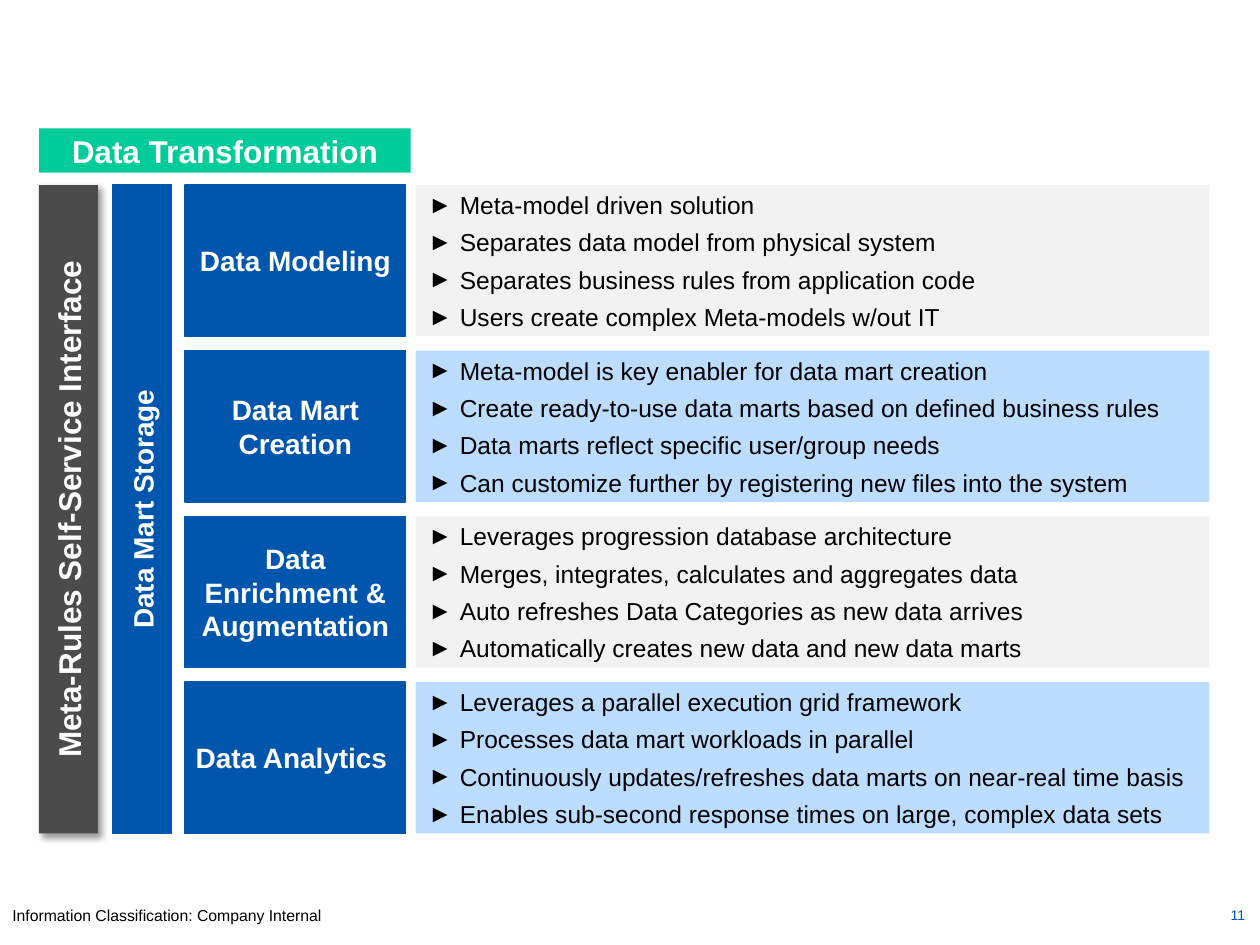
"""Build the Data Transformation overview slide."""
from lxml.etree import SubElement
from pptx import Presentation
from pptx.dml.color import RGBColor
from pptx.enum.shapes import MSO_SHAPE as Shape
from pptx.enum.text import MSO_ANCHOR as Anchor, MSO_AUTO_SIZE as AutoSize, PP_ALIGN as Align
from pptx.oxml.ns import qn
from pptx.util import Cm, Pt

COLORS = {
    "blue": "0055AD", "green": "00CC99", "charcoal": "4B4B4B", "gray": "F2F2F2",
    "sky": "BCDDFF", "white": "FFFFFF", "black": "000000",
}
FONT = "Arial"
TITLE = "Data Transformation"
INTERFACE = "Meta-Rules Self-Service Interface"
STORAGE = "Data Mart Storage"
FOOTER = "Information Classification: Company Internal"
PAGE_NUMBER = "11"
STAGES = [
    ("Data Modeling", [
        "Meta-model driven solution",
        "Separates data model from physical system",
        "Separates business rules from application code",
        "Users create complex Meta-models w/out IT",
    ]),
    ("Data Mart Creation", [
        "Meta-model is key enabler for data mart creation",
        "Create ready-to-use data marts based on defined business rules",
        "Data marts reflect specific user/group needs",
        "Can customize further by registering new files into the system",
    ]),
    ("Data Enrichment & Augmentation", [
        "Leverages progression database architecture",
        "Merges, integrates, calculates and aggregates data",
        "Auto refreshes Data Categories as new data arrives",
        "Automatically creates new data and new data marts",
    ]),
    ("Data Analytics ", [
        "Leverages a parallel execution grid framework",
        "Processes data mart workloads in parallel",
        "Continuously updates/refreshes data marts on near-real time basis",
        "Enables sub-second response times on large, complex data sets",
    ]),
]
ROW_TOP, ROW_HEIGHT, ROW_PITCH = 3.73, 3.05, 3.34
LABEL_LEFT, LABEL_WIDTH = 3.73, 4.45
DETAIL_LEFT, DETAIL_WIDTH = 8.38, 16
BAR_LENGTH, BAR_THICKNESS = 13.07, 1.19
INTERFACE_CENTER, STORAGE_CENTER = 1.38, 2.87


def rgb(name):
    return RGBColor.from_string(COLORS[name])


def style(paragraph, size, color, bold=False, align=Align.LEFT):
    paragraph.alignment = align
    font = paragraph.font
    font.name, font.size, font.bold = FONT, Pt(size), bold
    font.color.rgb = rgb(color)


def add_box(slide, box, fill, outlined=False):
    shape = slide.shapes.add_shape(Shape.RECTANGLE, *map(Cm, box))
    shape.shadow.inherit = False
    shape.fill.solid()
    shape.fill.fore_color.rgb = rgb(fill)
    if outlined:
        shape.line.color.rgb = rgb(fill)
        shape.line.width = Pt(0.75)
    else:
        shape.line.fill.background()
    frame = shape.text_frame
    frame.word_wrap = True
    frame.vertical_anchor = Anchor.MIDDLE
    return shape


def add_heading(slide, box, text, fill, size):
    outlined = fill == "blue"
    shape = add_box(slide, box, fill, outlined)
    frame = shape.text_frame
    if outlined:
        frame.margin_left = frame.margin_right = Cm(0.13)
        frame.margin_top = frame.margin_bottom = Cm(0.13)
    frame.text = text
    style(frame.paragraphs[0], size, "white", True, Align.CENTER)
    return shape


def add_bar(slide, center, text, fill, size):
    middle = ROW_TOP + BAR_LENGTH / 2
    box = (center - BAR_LENGTH / 2, middle - BAR_THICKNESS / 2, BAR_LENGTH, BAR_THICKNESS)
    shape = add_heading(slide, box, text, fill, size)
    shape.rotation = 270
    return shape


def add_shadow(shape):
    effects = shape._element.spPr.find(qn("a:effectLst"))
    shadow = SubElement(effects, qn("a:outerShdw"), blurRad=str(Pt(4)), dist=str(Pt(3)),
                        dir="2700000", algn="tl", rotWithShape="0")
    color = SubElement(shadow, qn("a:srgbClr"), val=COLORS["black"])
    SubElement(color, qn("a:alpha"), val="40000")


def add_details(slide, box, lines, fill):
    frame = add_box(slide, box, fill).text_frame
    frame.text = "\n".join(lines)
    for paragraph in frame.paragraphs:
        style(paragraph, 14, "black")
        paragraph.space_before = Pt(4.5)
        properties = paragraph._p.get_or_add_pPr()
        properties.set("marL", str(Cm(0.64)))
        properties.set("indent", str(Cm(-0.64)))
        SubElement(properties, qn("a:buFont"), typeface=FONT)
        SubElement(properties, qn("a:buChar"), char="►")
        properties.append(properties.find(qn("a:defRPr")))


def add_note(slide, box, text, size, color, align):
    frame = slide.shapes.add_textbox(*map(Cm, box)).text_frame
    frame.word_wrap = True
    frame.auto_size = AutoSize.SHAPE_TO_FIT_TEXT
    frame.text = text
    style(frame.paragraphs[0], size, color, align=align)


def main():
    presentation = Presentation()
    presentation.slide_width, presentation.slide_height = Cm(25.4), Cm(19.05)
    slide = presentation.slides.add_slide(presentation.slide_layouts[6])

    add_note(slide, (0, 18.14, 25.4, 0.64), FOOTER, 9, "black", Align.LEFT)
    add_note(slide, (19.43, 18.16, 5.92, 0.64), PAGE_NUMBER, 8, "blue", Align.RIGHT)
    add_heading(slide, (0.79, 2.59, 7.49, 0.89), TITLE, "green", 18)
    add_shadow(add_bar(slide, INTERFACE_CENTER, INTERFACE, "charcoal", 18))
    add_bar(slide, STORAGE_CENTER, STORAGE, "blue", 16)
    for row, (label, lines) in enumerate(STAGES):
        top = ROW_TOP + row * ROW_PITCH
        add_heading(slide, (LABEL_LEFT, top, LABEL_WIDTH, ROW_HEIGHT), label, "blue", 16)
        add_details(slide, (DETAIL_LEFT, top, DETAIL_WIDTH, ROW_HEIGHT), lines,
                    ("gray", "sky")[row % 2])
    presentation.save("out.pptx")


if __name__ == "__main__":
    main()
